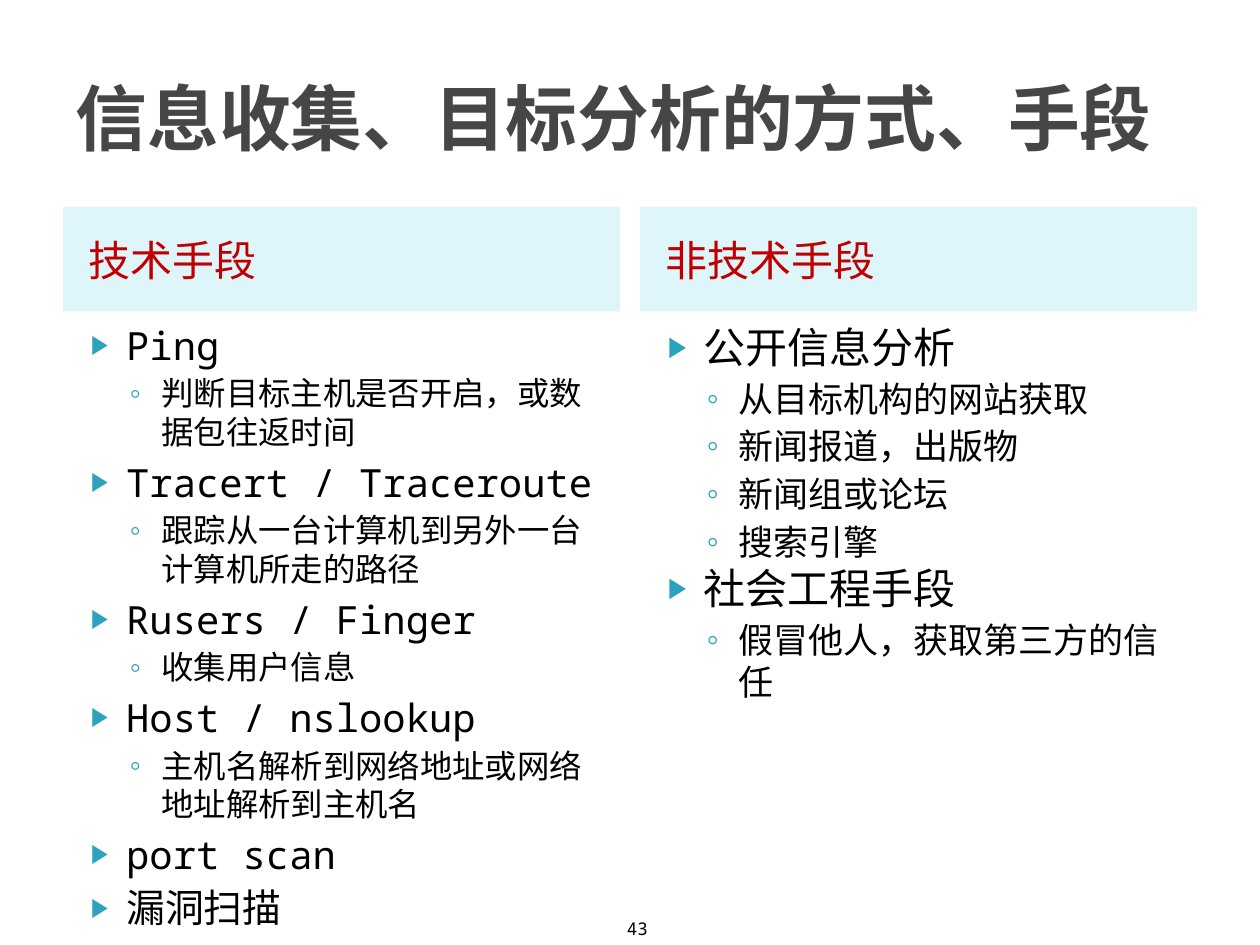
"""Build the slide on means of information gathering and target analysis."""
from dataclasses import dataclass

from lxml.etree import SubElement
from pptx import Presentation
from pptx.dml.color import RGBColor
from pptx.enum.text import MSO_ANCHOR, MSO_AUTO_SIZE, PP_ALIGN
from pptx.oxml.ns import qn
from pptx.util import Cm, Pt

FONT = "Noto Sans Mono"
COLORS = {
    "title": "464646",
    "band": "DEF5FA",
    "heading": "C00000",
    "text": "000000",
    "bullet": "2DA2BF",
}


@dataclass(frozen=True)
class Level:
    margin: float
    indent: float
    char: str
    percent: int


@dataclass(frozen=True)
class Column:
    left: float
    heading_idx: int
    heading: str
    sizes: tuple[float, float]
    gaps: tuple[float, float]
    items: list[tuple[int, str]]


LEVELS = (Level(1.02, -0.71, "▶", 68), Level(1.73, -0.64, "◦", 100))
COLUMNS = (
    Column(1.27, 1, "技术手段", (22.2, 18.5), (4, 3.2), [
        (0, "Ping"),
        (1, "判断目标主机是否开启，或数据包往返时间"),
        (0, "Tracert / Traceroute"),
        (1, "跟踪从一台计算机到另外一台计算机所走的路径"),
        (0, "Rusers / Finger"),
        (1, "收集用户信息"),
        (0, "Host / nslookup"),
        (1, "主机名解析到网络地址或网络地址解析到主机名"),
        (0, "port scan"),
        (0, "漏洞扫描"),
    ]),
    Column(12.9, 3, "非技术手段", (24, 20), (0, 3.2), [
        (0, "公开信息分析"),
        (1, "从目标机构的网站获取"),
        (1, "新闻报道，出版物"),
        (1, "新闻组或论坛"),
        (1, "搜索引擎"),
        (0, "社会工程手段"),
        (1, "假冒他人，获取第三方的信任"),
    ]),
)


def place(sp, left: float, top: float, width: float, height: float, anchor):
    """Position a shape and return its prepared text frame."""
    sp.left, sp.top, sp.width, sp.height = map(Cm, (left, top, width, height))
    tf = sp.text_frame
    tf.word_wrap = True
    tf.auto_size = MSO_AUTO_SIZE.NONE
    tf.vertical_anchor = anchor
    return tf


def add_run(p, text: str, size: float, color: str, bold: bool = False) -> None:
    """Add one formatted run to a paragraph."""
    r = p.add_run()
    r.text = text
    r.font.size, r.font.bold, r.font.name = Pt(size), bold, FONT
    r.font.color.rgb = RGBColor.from_string(COLORS[color])
    SubElement(r.font._element, qn("a:ea")).set("typeface", FONT)


def add_bullet(p, level: Level) -> None:
    """Give a paragraph its hanging indent and coloured bullet."""
    pPr = p._p.get_or_add_pPr()
    pPr.set("marL", str(Cm(level.margin)))
    pPr.set("indent", str(Cm(level.indent)))
    clr = SubElement(pPr, qn("a:buClr"))
    SubElement(clr, qn("a:srgbClr")).set("val", COLORS["bullet"])
    SubElement(pPr, qn("a:buSzPct")).set("val", str(level.percent * 1000))
    SubElement(pPr, qn("a:buChar")).set("char", level.char)


def add_column(s, col: Column) -> None:
    """Fill a heading band and the list below it."""
    band = s.placeholders[col.heading_idx]
    tf = place(band, col.left, 4.17, 11.23, 2.11, MSO_ANCHOR.MIDDLE)
    tf.margin_left = Cm(0.51)
    band.fill.solid()
    band.fill.fore_color.rgb = RGBColor.from_string(COLORS["band"])
    band.line.fill.background()
    p = tf.paragraphs[0]
    p.space_before = Pt(0)
    add_run(p, col.heading, 24, "heading")

    body = s.placeholders[col.heading_idx + 1]
    tf = place(body, col.left, 6.35, 11.23, 10.95, MSO_ANCHOR.TOP)
    for i, (lvl, text) in enumerate(col.items):
        p = tf.add_paragraph() if i else tf.paragraphs[0]
        p.level = lvl
        add_bullet(p, LEVELS[lvl])
        p.space_before = Pt(col.gaps[lvl] if i else 0)
        add_run(p, text, col.sizes[lvl], "text")


def main() -> None:
    """Create and save the presentation."""
    prs = Presentation()
    prs.slide_width, prs.slide_height = Cm(25.4), Cm(19.05)
    s = prs.slides.add_slide(prs.slide_layouts.get_by_name("Comparison"))

    tf = place(s.shapes.title, 1.27, 0.76, 22.86, 3.18, MSO_ANCHOR.MIDDLE)
    p = tf.paragraphs[0]
    p.alignment = PP_ALIGN.LEFT
    add_run(p, "信息收集、目标分析的方式、手段", 41, "title", bold=True)

    for col in COLUMNS:
        add_column(s, col)

    number = s.shapes.add_textbox(0, 0, 0, 0)
    tf = place(number, 11.89, 17.81, 1.42, 1.24, MSO_ANCHOR.BOTTOM)
    p = tf.paragraphs[0]
    p.alignment = PP_ALIGN.RIGHT
    add_run(p, "43", 10, "text")

    prs.save("out.pptx")


if __name__ == "__main__":
    main()
